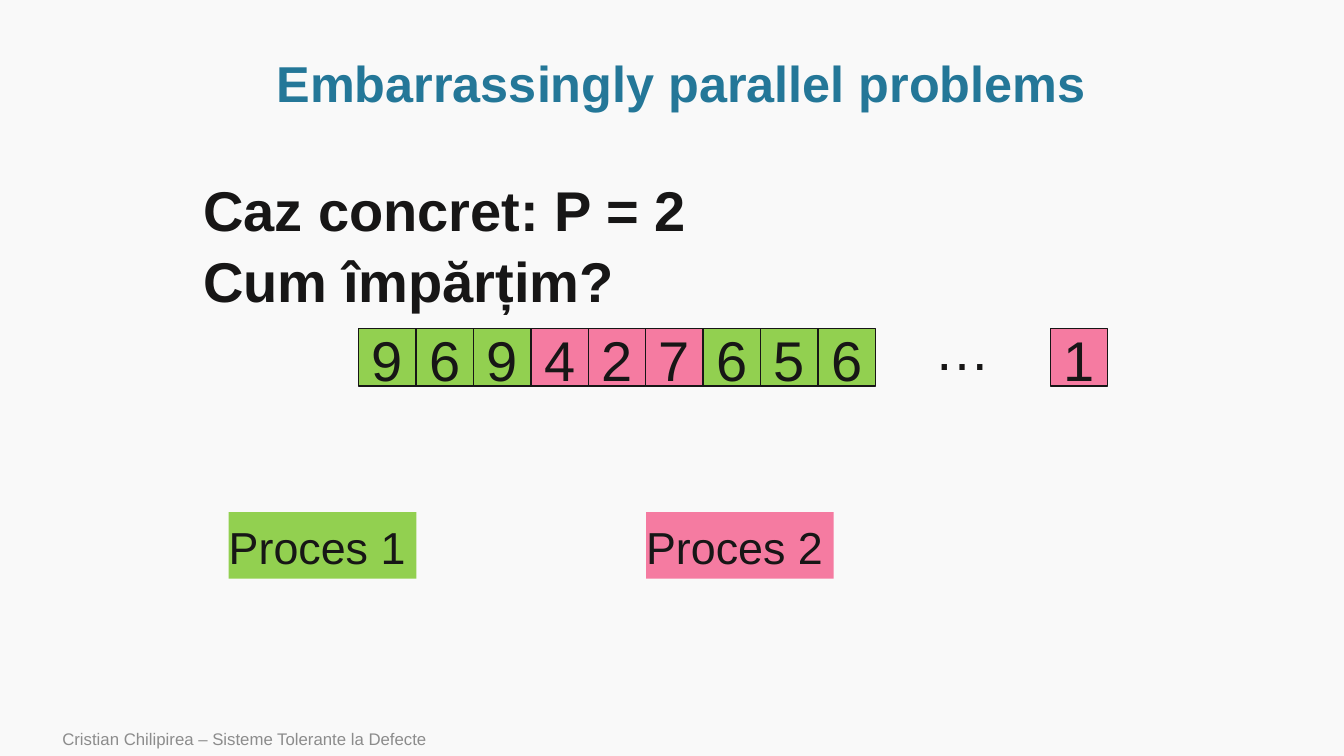
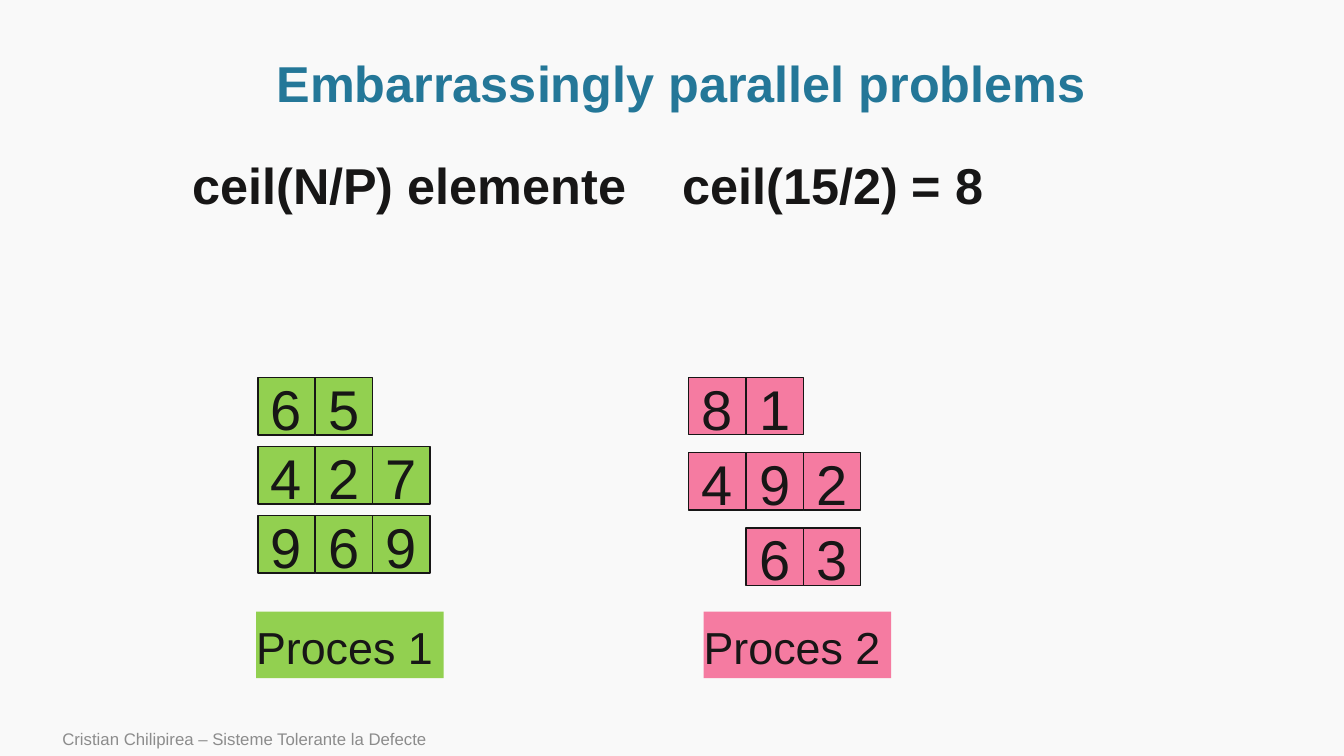
from pptx import Presentation
from pptx.dml.color import RGBColor
from pptx.enum.shapes import MSO_SHAPE
from pptx.enum.text import MSO_ANCHOR, PP_ALIGN
from pptx.util import Pt
from lxml.etree import SubElement
from pptx.oxml.ns import qn

BACKGROUND = RGBColor(0xF9, 0xF9, 0xF9)
TITLE_BLUE = RGBColor(0x24, 0x77, 0x98)
INK = RGBColor(0x17, 0x16, 0x16)
FOOTER_GREY = RGBColor(0x8C, 0x8C, 0x8C)
GREEN = RGBColor(0x92, 0xD0, 0x50)
PINK = RGBColor(0xF5, 0x7B, 0xA1)

FONT = "Arial"
TITLE = "Embarrassingly parallel problems"
FOOTER = "Cristian Chilipirea – Sisteme Tolerante la Defecte"
CELL = 41
LABEL_SIZE = (134, 47.5)


def style_text(frame, size, color=INK, bold=False, align=PP_ALIGN.LEFT, spacing=None):
    for paragraph in frame.paragraphs:
        paragraph.alignment = align
        paragraph.line_spacing = spacing
        for run in paragraph.runs:
            run.font.name = FONT
            run.font.size = Pt(size)
            run.font.bold = bold
            run.font.color.rgb = color


def add_text(slide, text, box, size, color=INK, bold=False, spacing=1.05, wrap=True):
    frame = slide.shapes.add_textbox(*map(Pt, box)).text_frame
    frame.word_wrap = wrap
    frame.text = text
    style_text(frame, size, color, bold, spacing=spacing)
    return frame


def add_block(slide, text, box, fill):
    block = slide.shapes.add_shape(MSO_SHAPE.RECTANGLE, *map(Pt, box))
    block.shadow.inherit = False
    block.fill.solid()
    block.fill.fore_color.rgb = fill
    block.text_frame.text = text
    return block


def add_cells(slide, left, top, digits, fill):
    for column, digit in enumerate(digits):
        cell = add_block(slide, digit, (left + column * CELL, top, CELL, CELL), fill)
        cell.line.color.rgb = INK
        cell.line.width = Pt(1)
        style_text(cell.text_frame, 40, align=PP_ALIGN.CENTER, spacing=1.05)


def add_process_label(slide, left, top, text, fill):
    label = add_block(slide, text, (left, top, *LABEL_SIZE), fill)
    label.line.fill.background()
    frame = label.text_frame
    frame.margin_left = frame.margin_right = 0
    frame.vertical_anchor = MSO_ANCHOR.TOP
    style_text(frame, 32, spacing=1.05)


def add_cell_rows(slide, left, top, pitch, rows, fill):
    for index, (offset, digits) in enumerate(rows):
        add_cells(slide, left + offset * CELL, top + index * pitch, digits, fill)


def add_titled_slide(prs):
    slide = prs.slides.add_slide(prs.slide_layouts[5])
    title = slide.shapes.title
    title.left, title.top, title.width, title.height = map(Pt, (72.7, 36.7, 828, 49.7))
    title.text_frame.text = TITLE
    title.text_frame.vertical_anchor = MSO_ANCHOR.MIDDLE
    style_text(title.text_frame, 36, TITLE_BLUE, True, PP_ALIGN.CENTER, 0.9)
    footer = add_text(slide, FOOTER, (37.4, 515.5, 605, 24.5), 12, FOOTER_GREY, spacing=None)
    footer.vertical_anchor = MSO_ANCHOR.MIDDLE
    return slide


def build_question(prs):
    slide = add_titled_slide(prs)
    add_text(slide, "Caz concret: P = 2\nCum împărțim?", (138.2, 119.5, 446.4, 104.4), 40, bold=True)
    left, top = 256.3, 234.7
    for index, (digits, fill) in enumerate((("969", GREEN), ("427", PINK), ("656", GREEN))):
        add_cells(slide, left + index * 3 * CELL, top, digits, fill)
    add_text(slide, "…", (660.2, 218.9, 54.7, 55.4), 40, wrap=False)
    add_cells(slide, 750.2, top, "1", PINK)
    add_process_label(slide, 163.4, 365.8, "Proces 1", GREEN)
    add_process_label(slide, 461.5, 365.8, "Proces 2", PINK)


def build_division(prs):
    slide = add_titled_slide(prs)
    formula = add_text(slide, "ceil(N/P) elemente\tceil(15/2) = 8", (130.3, 104.4, 679, 51.1), 36, bold=True)
    tabs = SubElement(formula.paragraphs[0]._p.get_or_add_pPr(), qn("a:tabLst"))
    SubElement(tabs, qn("a:tab"), pos=str(Pt(350)), algn="l")
    add_cell_rows(slide, 184.2, 269.8, 49.3, ((0, "65"), (0, "427"), (0, "969")), GREEN)
    add_cell_rows(slide, 491.8, 269.5, 53.9, ((0, "81"), (0, "492"), (1, "63")), PINK)
    add_process_label(slide, 182.9, 437, "Proces 1", GREEN)
    add_process_label(slide, 502.6, 437, "Proces 2", PINK)


def main():
    prs = Presentation()
    prs.slide_width, prs.slide_height = Pt(960), Pt(540)
    background = prs.slide_master.background.fill
    background.solid()
    background.fore_color.rgb = BACKGROUND
    build_question(prs)
    build_division(prs)
    prs.save("out.pptx")


if __name__ == "__main__":
    main()
